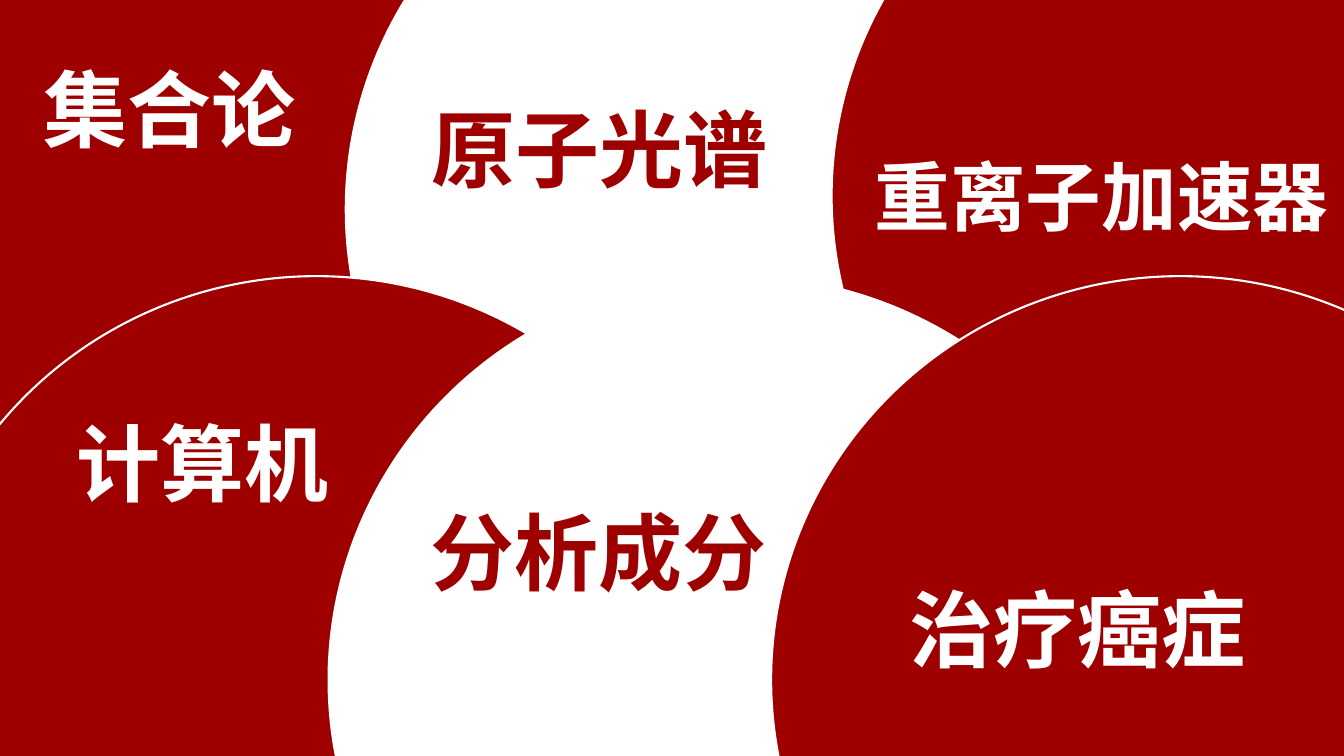
import dataclasses

import lxml.etree
import pptx
import pptx.dml.color
import pptx.enum.shapes
import pptx.enum.text
import pptx.oxml.ns
import pptx.util

WIDE = pptx.util.Inches(13.333)
HIGH = pptx.util.Inches(7.5)
FONT = "Noto Sans CJK SC"
RED, WHITE = "9E0000", "FFFFFF"
DISC_W, DISC_H = 60.9, 106.8


# Places and sizes are percentages of the slide's width and height
@dataclasses.dataclass
class Disc:
    left: float
    top: float
    fill: str


@dataclasses.dataclass
class Label:
    text: str
    left: float
    top: float
    width: float
    color: str
    size: int = 60
    height: float = 14.8


DISCS = [
    Disc(-8.18, -27.47, RED),
    Disc(25.73, -25.73, WHITE),
    Disc(61.88, -27.47, RED),
    Disc(-6.9, 36.53, RED),
    Disc(24.45, 36.53, WHITE),
    Disc(57.38, 36.53, RED),
]

LABELS = [
    Label("集合论", 2.48, 6.93, 23.25, WHITE),
    Label("原子光谱", 31.35, 12.27, 27, RED),
    Label("重离子加速器", 64.35, 19.2, 39.38, WHITE, 54, 13.47),
    Label("计算机", 4.95, 53.73, 22.95, WHITE),
    Label("治疗癌症", 66.9, 75.73, 34.28, WHITE),
    Label("分析成分", 31.28, 65.6, 26.93, RED),
]


def tint(code: str) -> pptx.dml.color.RGBColor:
    return pptx.dml.color.RGBColor.from_string(code)


def box(left: float, top: float, width: float, height: float) -> list[int]:
    pairs = ((left, WIDE), (top, HIGH), (width, WIDE), (height, HIGH))
    return [round(share * full / 100) for share, full in pairs]


def apply(target: object, values: dict) -> None:
    for name, value in values.items():
        setattr(target, name, value)


def draw_disc(group, disc: Disc) -> None:
    shape = group.shapes.add_shape(
        pptx.enum.shapes.MSO_SHAPE.OVAL,
        *box(disc.left, disc.top, DISC_W, DISC_H))
    shape.shadow.inherit = False
    shape.fill.solid()
    shape.fill.fore_color.rgb = tint(disc.fill)
    shape.line.color.rgb = tint(WHITE)
    shape.line.width = pptx.util.Pt(1.5)


def draw_label(slide, label: Label) -> None:
    shape = slide.shapes.add_textbox(
        *box(label.left, label.top, label.width, label.height))
    apply(shape.text_frame, {
        "word_wrap": True,
        "auto_size": pptx.enum.text.MSO_AUTO_SIZE.SHAPE_TO_FIT_TEXT,
    })
    run = shape.text_frame.paragraphs[0].add_run()
    run.text = label.text
    apply(run.font, {
        "name": FONT, "size": pptx.util.Pt(label.size), "bold": True})
    run.font.color.rgb = tint(label.color)
    # East Asian typeface
    face = lxml.etree.SubElement(
        run.font._element, pptx.oxml.ns.qn("a:ea"))
    face.set("typeface", FONT)


def main() -> None:
    deck = pptx.Presentation()
    apply(deck, {"slide_width": WIDE, "slide_height": HIGH})
    slide = deck.slides.add_slide(deck.slide_layouts[6])

    # Overlapping discs, back to front
    group = slide.shapes.add_group_shape()
    for disc in DISCS:
        draw_disc(group, disc)

    # Topic words
    for label in LABELS:
        draw_label(slide, label)

    deck.save("out.pptx")


if __name__ == "__main__":
    main()
